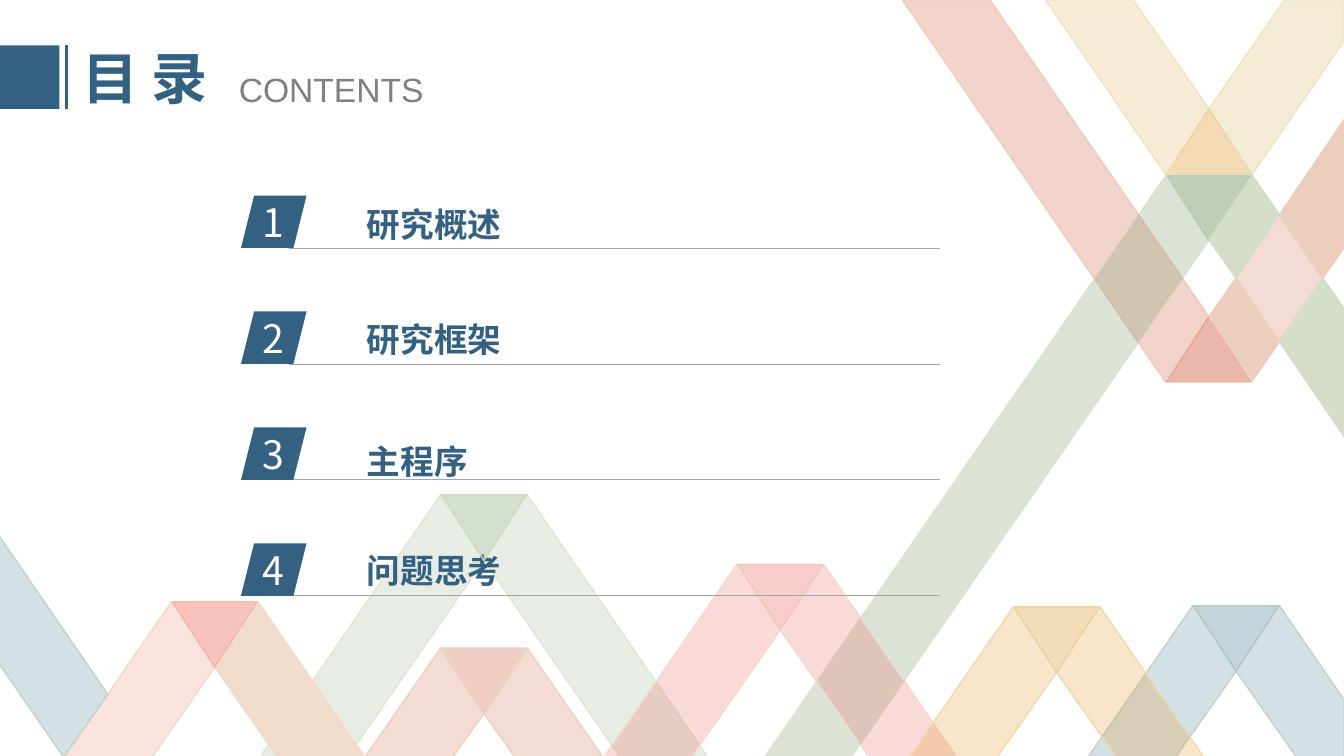
from lxml.etree import SubElement
from pptx import Presentation
from pptx.dml.color import RGBColor
from pptx.enum.shapes import MSO_CONNECTOR, MSO_SHAPE
from pptx.enum.text import MSO_ANCHOR, MSO_AUTO_SIZE, PP_ALIGN
from pptx.oxml.ns import qn
from pptx.util import Pt

PX = 9144  # one hundredth of an inch
SLIDE_WIDTH, SLIDE_HEIGHT = 1333, 750
CJK_FONT = "Noto Sans CJK SC"
BLUE = RGBColor.from_string("346182")
WHITE = RGBColor.from_string("FFFFFF")
GREY = RGBColor.from_string("808080")
RULE_GREY = RGBColor.from_string("A6A6A6")
CORAL = RGBColor.from_string("ED6F65")
RED = RGBColor.from_string("ED5249")
SALMON = RGBColor.from_string("EE8F82")
RUST = RGBColor.from_string("D57053")
ORANGE = RGBColor.from_string("E49B35")
AMBER = RGBColor.from_string("E7B05E")
CREAM = RGBColor.from_string("EFE3C2")
MOSS = RGBColor.from_string("88A378")
LEAF = RGBColor.from_string("89A67A")
SAGE = RGBColor.from_string("A2B894")
TEAL = RGBColor.from_string("508799")
PEACH = RGBColor.from_string("F1DBCC")
SAND = RGBColor.from_string("EBCEBC")
MIST_GREEN = RGBColor.from_string("D3DDC7")
EDGE_ROSE = RGBColor.from_string("EFBBAB")
EDGE_CORAL = RGBColor.from_string("F2C7BA")
EDGE_RUST = RGBColor.from_string("EAD3BF")
EDGE_DEEP_RUST = RGBColor.from_string("DF9B83")
EDGE_GOLD = RGBColor.from_string("EBDCB0")
EDGE_FOLD_GOLD = RGBColor.from_string("EBD3A3")
EDGE_SAGE = RGBColor.from_string("E0E6D3")
EDGE_MOSS = RGBColor.from_string("B3C4A5")
EDGE_LEAF = RGBColor.from_string("CFDAC2")
EDGE_TEAL = RGBColor.from_string("C3D4C3")
EDGE_FOLD_TEAL = RGBColor.from_string("B5CAC1")

FOLD_WIDTH, FOLD_HEIGHT, RIBBON_WIDTH = 84, 65, 87
SLOPE = 1.45
FLOOR = 754
ROW_PITCH = 115
UP, DOWN = -1, 1

# A paint is fill, fill opacity, edge, edge opacity.
SAGE_PAINT = (SAGE, 25, EDGE_SAGE, 100)
TEAL_PAINT = (TEAL, 25, EDGE_TEAL, 100)
RUST_PAINT = (RUST, 25, EDGE_RUST, 100)
CORAL_PAINT = (CORAL, 25, PEACH, 100)
ORANGE_PAINT = (ORANGE, 25, EDGE_GOLD, 100)
SAND_PAINT = (SAND, 100, SAND, 100)
GREEN_PAINT = (MIST_GREEN, 100, MIST_GREEN, 100)

# fold left and base, direction and end of the legs, paints of left leg, right leg, fold
CHEVRONS = [
    (1157, 379, UP, 0, (RUST, 30, SAND, 100), None, (RUST, 49, EDGE_DEEP_RUST, 49)),
    (1157, 173, UP, 0, (AMBER, 25, CREAM, 100), (CREAM, 71, CREAM, 100),
     (ORANGE, 36, EDGE_FOLD_GOLD, 36)),
    (1157, 174, DOWN, FLOOR, (MOSS, 30, MIST_GREEN, 30), None,
     (MOSS, 53, EDGE_MOSS, 53)),
    (438, 491, DOWN, FLOOR, SAGE_PAINT, SAGE_PAINT, None),
    (438, 643, DOWN, FLOOR, RUST_PAINT, RUST_PAINT, (RUST, 35, EDGE_RUST, 100)),
    (732, 560, DOWN, FLOOR, CORAL_PAINT, CORAL_PAINT, (CORAL, 35, EDGE_CORAL, 100)),
    (1184, 601, DOWN, FLOOR, TEAL_PAINT, TEAL_PAINT, (TEAL, 35, EDGE_FOLD_TEAL, 100)),
    (1006, 602, DOWN, FLOOR, ORANGE_PAINT, ORANGE_PAINT,
     (ORANGE, 35, EDGE_FOLD_GOLD, 100)),
    (171, 597, DOWN, FLOOR, (SALMON, 25, PEACH, 100), (PEACH, 100, PEACH, 100),
     (RED, 35, EDGE_ROSE, 100)),
]
# label, its top within the row, its width and height, its line spacing
CONTENTS = [
    ("研究概述", 3, 153, 50, None),
    ("研究框架", 2, 153, 50, None),
    ("主程序", -12, 120, 71, 1.5),
    ("问题思考", 2, 153, 50, None),
]


def to_emu(*lengths):
    return [length * PX for length in lengths]


def set_opacity(fill, percent):
    if percent < 100:
        color = fill._xPr.find(qn("a:solidFill"))[0]
        SubElement(color, qn("a:alpha")).set("val", str(percent * 1000))


def add_ribbon(page, paint, corners):
    fill, opacity, edge, edge_opacity = paint
    builder = page.shapes.build_freeform(*corners[0], scale=PX)
    builder.add_line_segments(corners[1:], close=True)
    ribbon = builder.convert_to_shape()
    ribbon.shadow.inherit = False
    ribbon.fill.solid()
    ribbon.fill.fore_color.rgb = fill
    set_opacity(ribbon.fill, opacity)
    ribbon.line.width = Pt(1)
    ribbon.line.color.rgb = edge
    set_opacity(ribbon.line.fill, edge_opacity)


def add_fold(page, paint, left, base, direction):
    apex = (left + FOLD_WIDTH // 2, base + direction * FOLD_HEIGHT)
    add_ribbon(page, paint, [(left, base), (left + FOLD_WIDTH, base), apex])


def add_leg(page, paint, left, base, direction, end, side):
    """Run a ribbon from a fold to the height end, cut at the right slide edge."""
    middle = left + FOLD_WIDTH // 2
    start = middle + side * (FOLD_WIDTH // 2 + 1)
    outer = start + side * round(abs(end - base) / SLOPE)
    corners = [(start, base), (outer, end)]
    if outer > SLIDE_WIDTH:
        cut = base + direction * round((SLIDE_WIDTH - start) * SLOPE)
        corners[1:] = [(SLIDE_WIDTH, cut), (SLIDE_WIDTH, end)]
    corners += [(outer - side * RIBBON_WIDTH, end),
                (middle, base + direction * FOLD_HEIGHT)]
    add_ribbon(page, paint, corners)


def add_chevron(page, left, base, direction, end, left_paint, right_paint, fold_paint):
    for side, paint in ((-1, left_paint), (1, right_paint)):
        if paint:
            add_leg(page, paint, left, base, direction, end, side)
    if fold_paint:
        add_fold(page, fold_paint, left, base, direction)


def add_crossing(page, x, y, half_width, half_height):
    """Place the diamond where two ribbons cross, and the four strips around it."""
    west, east = (x - half_width, y), (x + half_width, y)
    add_ribbon(page, RUST_PAINT, [west, (x, y - half_height), east, (x, y + half_height)])
    for direction, paint in ((DOWN, GREEN_PAINT), (UP, SAND_PAINT)):
        rise = direction * half_height
        add_ribbon(page, paint, [(x - 27, y - direction * 102), (x, y - rise), west,
                                 (x - 70, y - direction * 38)])
        add_ribbon(page, paint, [east, (x + 66, y + direction * 33),
                                 (x + 66, y + direction * 160), (x, y + rise)])


def add_background(page):
    for chevron in CHEVRONS:
        add_chevron(page, *chevron)
    add_crossing(page, 1269, 276, 43, 63)
    add_ribbon(page, TEAL_PAINT, [(-4, 527), (107, 689), (63, 751), (-4, 654)])


def add_block(shapes, preset, *box):
    block = shapes.add_shape(preset, *to_emu(*box))
    block.shadow.inherit = False
    block.fill.solid()
    block.fill.fore_color.rgb = BLUE
    block.line.fill.background()


def add_rule(shapes, ends, color, weight):
    rule = shapes.add_connector(MSO_CONNECTOR.STRAIGHT, *to_emu(*ends))
    rule.line.color.rgb = color
    rule.line.width = Pt(weight)
    SubElement(rule._element.spPr, qn("a:effectLst"))


def write(frame, text, size, color, font=CJK_FONT, bold=False, align=PP_ALIGN.LEFT):
    frame.text = text
    para = frame.paragraphs[0]
    para.alignment = align
    span = para.runs[0]
    span.font.size = Pt(size)
    span.font.name = font
    span.font.bold = bold
    span.font.color.rgb = color
    SubElement(span._r.get_or_add_rPr(), qn("a:ea")).set("typeface", font)


def add_text(shapes, box, *content, wrap=True, **style):
    frame = shapes.add_textbox(*to_emu(*box)).text_frame
    frame.word_wrap = wrap
    frame.auto_size = MSO_AUTO_SIZE.SHAPE_TO_FIT_TEXT
    write(frame, *content, **style)
    return frame


def add_header(page, top, height):
    add_block(page.shapes, MSO_SHAPE.RECTANGLE, 0, top, 59, height)
    add_rule(page.shapes, (66, top, 66, top + height), BLUE, 2.25)
    title = page.shapes.title
    title.left, title.top, title.width, title.height = to_emu(72, top - 7, 154, 77)
    frame = title.text_frame
    frame.vertical_anchor = MSO_ANCHOR.MIDDLE
    frame.auto_size = MSO_AUTO_SIZE.NONE
    write(frame, "目 录", 40, BLUE, bold=True)
    add_text(page.shapes, (227, top + 18, 250, 50), "CONTENTS", 24, GREY, font="Arial")


def add_contents_row(page, left, top, number, entry):
    label, offset, width, height, spacing = entry
    badge = page.shapes.add_group_shape().shapes
    add_rule(badge, (left + 48, top + 52, left + 693, top + 52), RULE_GREY, 0.5)
    add_block(badge, MSO_SHAPE.PARALLELOGRAM, left, top, 65, 52)
    add_text(badge, (left + 1, top - 2, 63, 57), str(number), 28, WHITE,
             align=PP_ALIGN.CENTER)
    frame = add_text(page.shapes, (left + 115, top + offset, width, height),
                     label, 24, BLUE, bold=True, wrap=False)
    frame.paragraphs[0].line_spacing = spacing


def main():
    deck = Presentation()
    deck.slide_width, deck.slide_height = to_emu(SLIDE_WIDTH, SLIDE_HEIGHT)
    page = deck.slides.add_slide(deck.slide_layouts[5])
    add_background(page)
    add_header(page, 45, 63)
    for index, entry in enumerate(CONTENTS):
        add_contents_row(page, 239, 194 + index * ROW_PITCH, index + 1, entry)
    add_fold(page, (LEAF, 35, EDGE_LEAF, 100), 438, 491, DOWN)
    deck.save("out.pptx")


if __name__ == "__main__":
    main()
